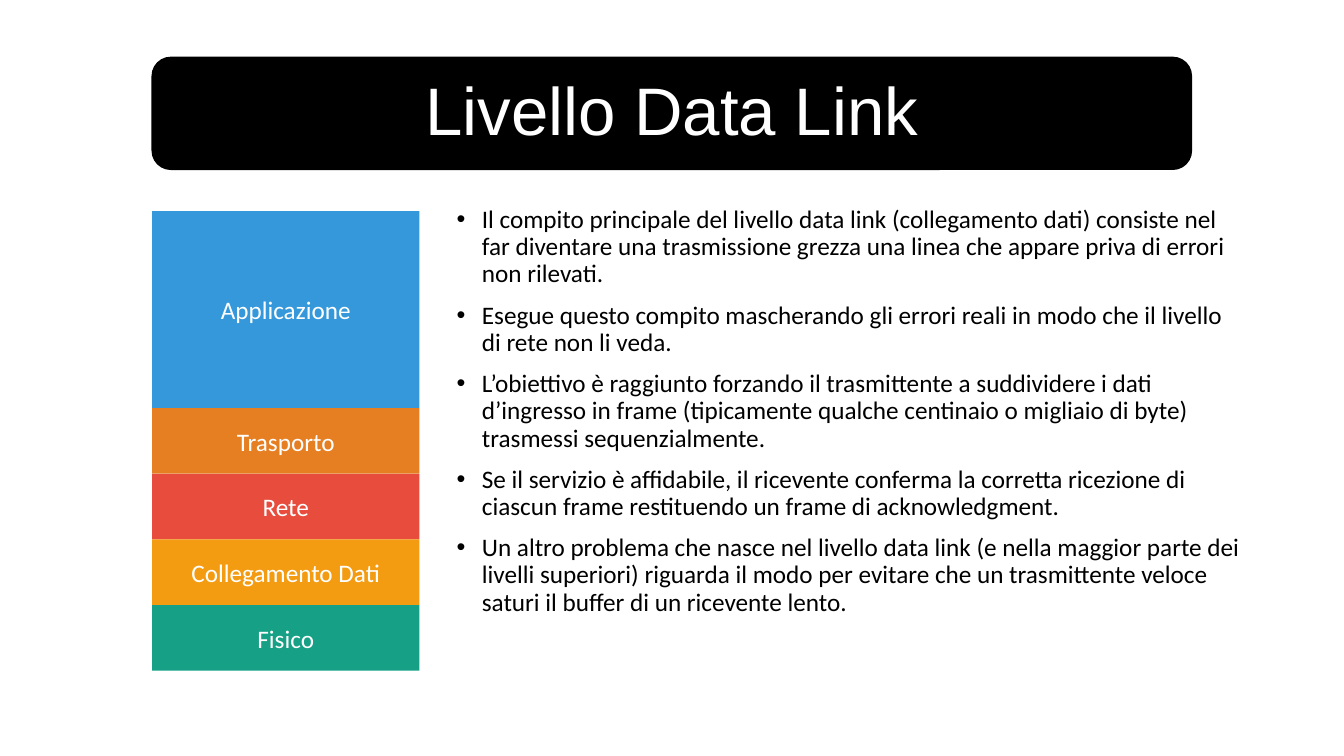
"""Build the slide on the data link layer with its protocol stack."""
from pptx import Presentation
from pptx import util as u
from pptx.dml import color as colors
from pptx.enum import shapes, text
from pptx.oxml import parse_xml
from pptx.oxml import ns


def rgb(value):
    return colors.RGBColor.from_string(value)


def write(paragraph, content, size=18, font="Calibri", color="FFFFFF",
          align=text.PP_ALIGN.CENTER, line_spacing=1.0, space_before=0):
    paragraph.alignment = align
    paragraph.line_spacing = line_spacing
    paragraph.space_before = u.Pt(space_before)
    run = paragraph.add_run()
    run.text = content
    run.font.size = u.Pt(size)
    run.font.name = font
    run.font.color.rgb = rgb(color)


presentation = Presentation()
presentation.slide_width = u.Pt(960)
presentation.slide_height = u.Pt(540)
slide = presentation.slides.add_slide(presentation.slide_layouts[1])
title, body = slide.placeholders

left = 108.7
banner = slide.shapes.add_shape(
    shapes.MSO_SHAPE.ROUNDED_RECTANGLE,
    u.Pt(left), u.Pt(41), u.Pt(742.3), u.Pt(80))
banner.shadow.inherit = False
banner.fill.solid()
banner.fill.fore_color.rgb = rgb("000000")
banner.line.color.rgb = rgb("000000")
banner.line.width = u.Pt(1)
title._element.addprevious(banner._element)

title.left, title.top = u.Pt(66), u.Pt(28.8)
title.width, title.height = u.Pt(828), u.Pt(104.4)
title.text_frame.auto_size = text.MSO_AUTO_SIZE.NONE
title.text_frame.vertical_anchor = text.MSO_ANCHOR.MIDDLE
write(title.text_frame.paragraphs[0], "Livello Data Link",
      size=48, font="Arial", line_spacing=0.9)

body.left, body.top = u.Pt(319), u.Pt(144)
body.width, body.height = u.Pt(574.6), u.Pt(342.7)
body.text_frame.auto_size = text.MSO_AUTO_SIZE.NONE
points = [
    "Il compito principale del livello data link (collegamento dati) consiste nel "
    "far diventare una trasmissione grezza una linea che appare priva di errori "
    "non rilevati.",
    "Esegue questo compito mascherando gli errori reali in modo che il livello "
    "di rete non li veda.",
    "L’obiettivo è raggiunto forzando il trasmittente a suddividere i dati "
    "d’ingresso in frame (tipicamente qualche centinaio o migliaio di byte) "
    "trasmessi sequenzialmente.",
    "Se il servizio è affidabile, il ricevente conferma la corretta ricezione di "
    "ciascun frame restituendo un frame di acknowledgment.",
    "Un altro problema che nasce nel livello data link (e nella maggior parte dei "
    "livelli superiori) riguarda il modo per evitare che un trasmittente veloce "
    "saturi il buffer di un ricevente lento.",
]
for index, point in enumerate(points):
    paragraph = body.text_frame.add_paragraph() if index else body.text_frame.paragraphs[0]
    properties = paragraph._p.get_or_add_pPr()
    properties.set("marL", str(u.Pt(18)))
    properties.set("indent", str(u.Pt(-18)))
    for bullet in ('<a:buFont %s typeface="Arial"/>', '<a:buChar %s char="•"/>'):
        properties.append(parse_xml(bullet % ns.nsdecls("a")))
    write(paragraph, point, color="000000", align=text.PP_ALIGN.LEFT,
          line_spacing=0.9, space_before=10 if index else 0)

layers = [
    ("Applicazione", "3498DB", 3),
    ("Trasporto", "E67E22", 1),
    ("Rete", "E74C3C", 1),
    ("Collegamento Dati", "F39C12", 1),
    ("Fisico", "16A085", 1),
]
unit = 46.9
top = 150.8
stack = slide.shapes.add_group_shape()
for name, fill, units in layers:
    layer = stack.shapes.add_shape(
        shapes.MSO_SHAPE.RECTANGLE,
        u.Pt(left), u.Pt(top), u.Pt(190.8), u.Pt(units * unit))
    layer.shadow.inherit = False
    layer.fill.solid()
    layer.fill.fore_color.rgb = rgb(fill)
    layer.line.fill.background()
    layer.text_frame.vertical_anchor = text.MSO_ANCHOR.MIDDLE
    write(layer.text_frame.paragraphs[0], name)
    top += units * unit

presentation.save("out.pptx")
